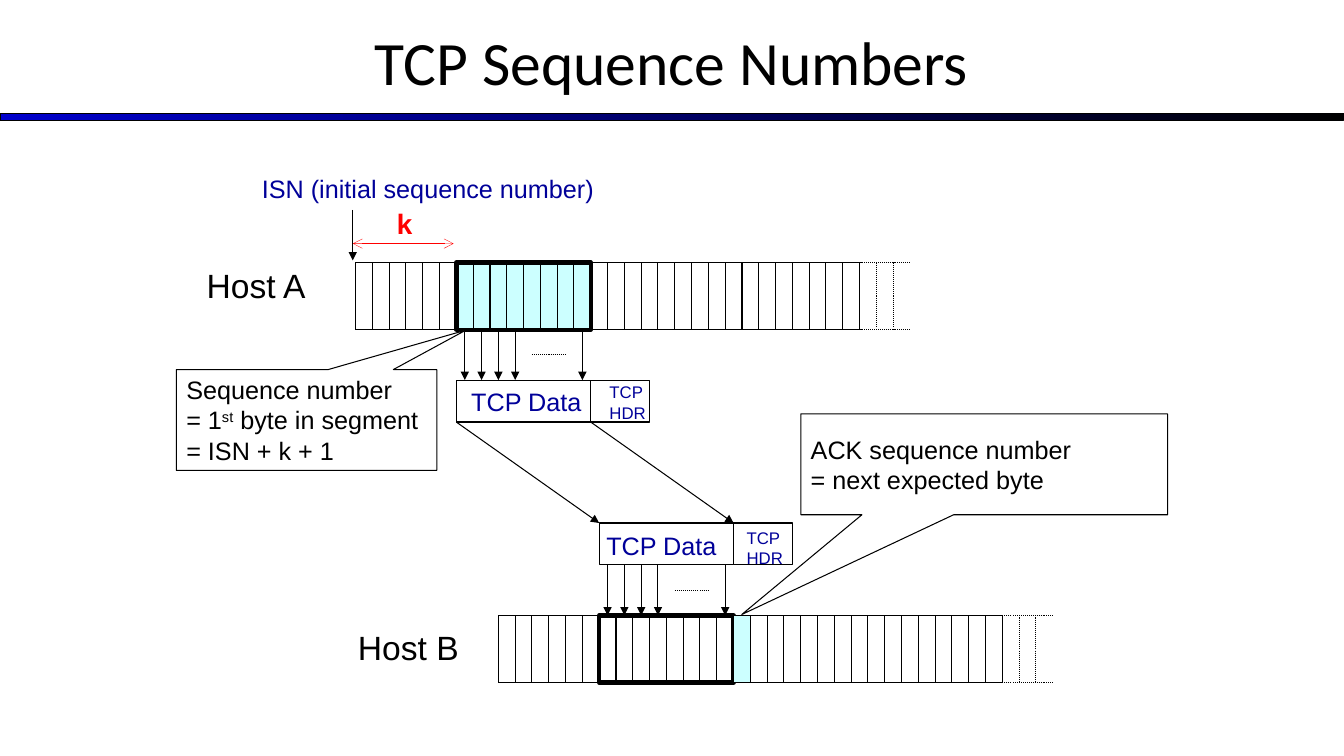
import pptx
import pptx.dml.color
import pptx.enum.dml
import pptx.enum.shapes
import pptx.enum.text
import pptx.oxml.ns
import pptx.util
from lxml import etree

Pt = pptx.util.Pt
SHAPE = pptx.enum.shapes.MSO_SHAPE
ANCHOR = pptx.enum.text.MSO_ANCHOR
ALIGN = pptx.enum.text.PP_ALIGN

BLACK, WHITE, RED, NAVY, CYAN = "000000", "FFFFFF", "FF0000", "000099", "CCFFFF"
CELL = 12
STREAM_HEIGHT = 48
SOLID_CELLS, DOTTED_CELLS = 30, 3
WINDOW_START, WINDOW_CELLS = 6, 8
WINDOW_WIDTH = WINDOW_CELLS * CELL
HEADER_WIDTH, SEGMENT_HEIGHT = 42, 30
BYTE_DROP = 36


def color(value):
    return pptx.dml.color.RGBColor.from_string(value)


def add_line(slide, start, end, stroke=BLACK, width=0.75, dotted=False, head=None, tail=None):
    """Draw a line; head is the arrowhead at start, tail the one at end."""
    line = slide.shapes.add_connector(
        pptx.enum.shapes.MSO_CONNECTOR.STRAIGHT, *map(Pt, start + end))
    line.line.color.rgb = color(stroke)
    line.line.width = Pt(width)
    if dotted:
        line.line.dash_style = pptx.enum.dml.MSO_LINE.ROUND_DOT
    ends = line.line._get_or_add_ln()
    for tag, kind in (("a:headEnd", head), ("a:tailEnd", tail)):
        if kind:
            etree.SubElement(ends, pptx.oxml.ns.qn(tag)).set("type", kind)
    etree.SubElement(line._element.spPr, pptx.oxml.ns.qn("a:effectLst"))


def add_box(slide, box, fill=None, width=0.75, kind=SHAPE.RECTANGLE):
    shape = slide.shapes.add_shape(kind, *map(Pt, box))
    shape.shadow.inherit = False
    if fill:
        shape.fill.solid()
        shape.fill.fore_color.rgb = color(fill)
    else:
        shape.fill.background()
    shape.line.color.rgb = color(BLACK)
    shape.line.width = Pt(width)
    return shape


def style(frame, size, ink=BLACK, font="Arial", align=ALIGN.LEFT, bold=False):
    for paragraph in frame.paragraphs:
        paragraph.alignment = align
        paragraph.font.name = font
        paragraph.font.size = Pt(size)
        paragraph.font.bold = bold
        paragraph.font.color.rgb = color(ink)


def add_label(slide, box, text, size, ink=BLACK, wrap=False, **look):
    frame = slide.shapes.add_textbox(*map(Pt, box)).text_frame
    frame.word_wrap = wrap
    frame.text = text
    style(frame, size, ink, **look)
    return frame


def add_heading(slide, box):
    left, top, width, height = box
    rule = add_box(slide, (left, top + 81, width, 5), BLACK)
    rule.fill.gradient()
    rule.fill.gradient_angle = 0
    for stop, value in zip(rule.fill.gradient_stops, ("0000CC", BLACK)):
        stop.color.rgb = color(value)
    title = add_label(slide, box, "TCP Sequence Numbers", 44, wrap=True,
                      font="Calibri", align=ALIGN.CENTER)
    title.vertical_anchor = ANCHOR.MIDDLE


def add_stream(slide, left, top, window_fill=None, next_fill=None):
    """Draw a host's byte stream with its segment window and, if filled, the byte after it."""
    bottom = top + STREAM_HEIGHT
    solid_end = left + SOLID_CELLS * CELL
    window_left = left + WINDOW_START * CELL
    add_box(slide, (window_left, top, WINDOW_WIDTH, STREAM_HEIGHT), window_fill, width=3)
    if next_fill:
        add_box(slide, (window_left + WINDOW_WIDTH, top, CELL, STREAM_HEIGHT), next_fill)
    for y in (top, bottom):
        add_line(slide, (left, y), (solid_end, y))
        add_line(slide, (solid_end + DOTTED_CELLS * CELL, y), (solid_end, y), dotted=True)
    for cell in range(SOLID_CELLS + DOTTED_CELLS):
        x = left + cell * CELL
        add_line(slide, (x, top), (x, bottom), dotted=cell > SOLID_CELLS)


def add_segment(slide, left, top, data_offset, header_offset):
    """Draw a TCP segment; the offsets place its texts relative to their boxes."""
    header_left = left + WINDOW_WIDTH
    add_box(slide, (left, top, WINDOW_WIDTH, SEGMENT_HEIGHT), WHITE)
    add_box(slide, (header_left, top, HEADER_WIDTH, SEGMENT_HEIGHT), WHITE)
    add_label(slide, (left + data_offset[0], top + data_offset[1], 94.3, 29),
              "TCP Data", 18, NAVY)
    add_label(slide, (header_left + header_offset[0], top + header_offset[1], 42, 36),
              "TCP\nHDR", 12, NAVY)


def add_byte_arrows(slide, left, top):
    for cell in (0, 1, 2, 3, WINDOW_CELLS - 1):
        x = left + (cell + 0.5) * CELL
        add_line(slide, (x, top), (x, top + BYTE_DROP), tail="triangle")
    middle = top + BYTE_DROP / 2
    add_line(slide, (left + 54, middle), (left + 78, middle), dotted=True)


def add_callout(slide, box, pointer):
    callout = add_box(slide, box, WHITE, kind=SHAPE.RECTANGULAR_CALLOUT)
    for index, value in enumerate(pointer):
        callout.adjustments[index] = value
    callout.text_frame.word_wrap = True
    return callout.text_frame


def add_sequence_callout(slide, box):
    frame = add_callout(slide, box, (0.612, -0.891))
    frame.vertical_anchor = ANCHOR.TOP
    paragraph = frame.paragraphs[0]
    paragraph.add_run().text = "Sequence number"
    paragraph.add_line_break()
    paragraph.add_run().text = "= 1"
    ordinal = paragraph.add_run()
    ordinal.text = "st"
    ordinal.font._element.set("baseline", "30000")
    paragraph.add_run().text = " byte in segment = ISN + k + 1"
    style(frame, 18)


def add_ack_callout(slide, box):
    frame = add_callout(slide, box, (-0.661, 1.49))
    frame.vertical_anchor = ANCHOR.MIDDLE
    frame.text = "ACK sequence number\n= next expected byte"
    style(frame, 18)


def add_isn_marker(slide, left, top):
    """Mark the initial sequence number and the offset k above a stream's start."""
    add_label(slide, (left - 74, top - 67.5, 254, 29), "ISN (initial sequence number)", 18, NAVY)
    start = left - 2
    add_line(slide, (start, top - 13.5), (start + WINDOW_START * CELL, top - 13.5),
             RED, 0.25, head="arrow", tail="arrow")
    add_line(slide, (start, top - 37.5), (start, top - 1.5), tail="triangle")
    add_label(slide, (left + 21.8, top - 43.5, 26.5, 31.5), "k", 20, RED,
              font="Courier New", align=ALIGN.RIGHT, bold=True)


def add_tcp_slide(deck):
    slide = deck.slides.add_slide(deck.slide_layouts[6])
    add_heading(slide, (0, 0, 960, 87))

    a_left, a_top = 254, 187.5
    b_left, b_top = 356, 439.6
    sent_left, received_left = (x + WINDOW_START * CELL for x in (a_left, b_left))
    a_bottom = a_top + STREAM_HEIGHT
    sent_top = a_bottom + BYTE_DROP
    sent_bottom = sent_top + SEGMENT_HEIGHT
    received_bottom = b_top - BYTE_DROP
    received_top = received_bottom - SEGMENT_HEIGHT

    add_stream(slide, a_left, a_top, window_fill=CYAN)
    add_stream(slide, b_left, b_top, next_fill=CYAN)
    add_label(slide, (140.5, 186, 86, 36), "Host A", 24)
    add_label(slide, (248.5, 444, 87, 36), "Host B", 24)
    add_segment(slide, sent_left, sent_top, (3.5, 0.7), (6.3, -2))
    add_segment(slide, received_left, received_top, (-2, 1.5), (2.2, 0))
    for edge in (0, WINDOW_WIDTH):
        add_line(slide, (sent_left + edge, sent_bottom),
                 (received_left + edge, received_top), tail="triangle")
    add_byte_arrows(slide, sent_left, a_bottom)
    add_byte_arrows(slide, received_left, received_bottom)
    add_ack_callout(slide, (572, 295.7, 262, 72))
    add_sequence_callout(slide, (126, 264, 186, 72))
    add_isn_marker(slide, a_left, a_top)


def main():
    deck = pptx.Presentation()
    deck.slide_width, deck.slide_height = Pt(960), Pt(540)
    add_tcp_slide(deck)
    deck.save("out.pptx")


if __name__ == "__main__":
    main()
